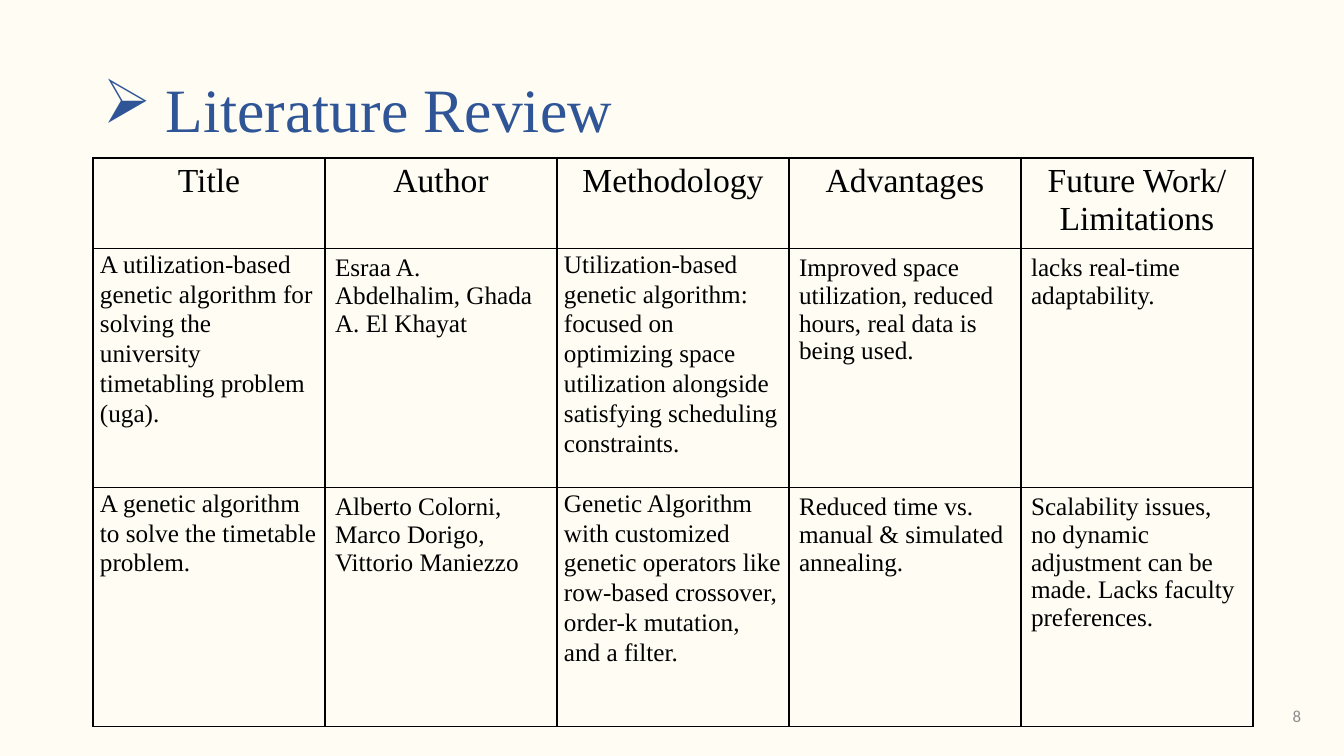
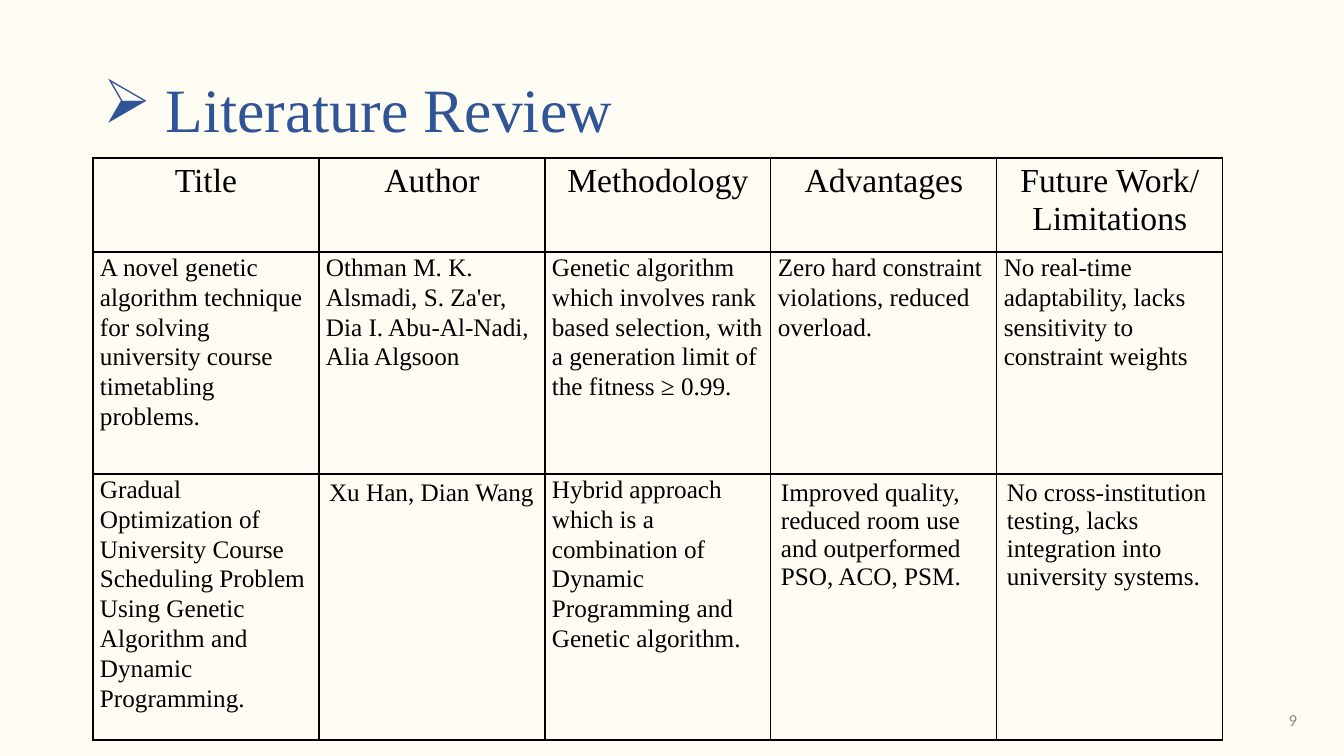
from lxml.etree import SubElement
from pptx import Presentation
from pptx.dml.color import RGBColor
from pptx.enum.text import MSO_ANCHOR as Anchor, PP_ALIGN as Align
from pptx.oxml import parse_xml
from pptx.oxml.ns import nsdecls, qn
from pptx.util import Pt

PX = 914400 / 100.8
COLORS = {"paper": "FEFCF3", "title": "2F5597", "ink": "000000", "number": "8C8C8C"}
SERIF = "Times New Roman"
LEFT, TABLE_TOP = 93, 158
HEADINGS = ["Title", "Author", "Methodology", "Advantages", "Future Work/ Limitations"]

REVIEWS = [
    {
        "number": "8", "number_at": (1009, 696), "column": 232, "heights": [84, 239, 239],
        "snug_columns": [[], [0, 2], [0, 2]],
        "papers": [
            ["A utilization-based genetic algorithm for solving the university timetabling problem (uga).",
             "Esraa A. Abdelhalim, Ghada A. El Khayat",
             "Utilization-based genetic algorithm: focused on optimizing space utilization "
             "alongside satisfying scheduling constraints.",
             "Improved space utilization, reduced hours, real data is being used.",
             "lacks real-time adaptability."],
            ["A genetic algorithm to solve the timetable problem.",
             "Alberto Colorni, Marco Dorigo, Vittorio Maniezzo",
             "Genetic Algorithm with customized genetic operators like row-based crossover, "
             "order-k mutation, and a filter.",
             "Reduced time vs. manual & simulated annealing.",
             "Scalability issues, no dynamic adjustment can be made. Lacks faculty preferences."],
        ],
    },
    {
        "number": "9", "number_at": (1005, 700), "column": 226, "heights": [94, 222, 266],
        "snug_columns": [[], [0, 1, 2, 3, 4], [0, 2]],
        "papers": [
            ["A novel genetic algorithm technique for solving university course timetabling problems.",
             "Othman M. K. Alsmadi, S. Za'er, Dia I. Abu-Al-Nadi, Alia Algsoon",
             "Genetic algorithm which involves rank based selection, with a generation limit "
             "of the fitness ≥ 0.99.",
             "Zero hard constraint violations, reduced overload.",
             "No real-time adaptability, lacks sensitivity to constraint weights"],
            ["Gradual Optimization of University Course Scheduling Problem Using Genetic "
             "Algorithm and Dynamic Programming.",
             "Xu Han, Dian Wang",
             "Hybrid approach which is a combination of Dynamic Programming and Genetic algorithm.",
             "Improved quality, reduced room use and outperformed PSO, ACO, PSM.",
             "No cross-institution testing, lacks integration into university systems."],
        ],
    },
]


def px(length):
    return round(length * PX)


def write(frame, text, size, color, font=SERIF, align=Align.LEFT):
    frame.text = text
    frame.word_wrap = True
    paragraph = frame.paragraphs[0]
    paragraph.alignment = align
    style = paragraph.runs[0].font
    style.size, style.name = Pt(size), font
    style.color.rgb = RGBColor.from_string(COLORS[color])
    return paragraph


deck = Presentation()
deck.slide_width, deck.slide_height = px(1344), px(756)

for review in REVIEWS:
    slide = deck.slides.add_slide(deck.slide_layouts[6])
    slide.background.fill.solid()
    slide.background.fill.fore_color.rgb = RGBColor.from_string(COLORS["paper"])

    title = slide.shapes.add_textbox(px(LEFT), px(40), px(1159), px(146)).text_frame
    title.vertical_anchor = Anchor.MIDDLE
    heading = write(title, "Literature Review", 44, "title")
    heading.line_spacing = 0.9
    bullet = heading._p.get_or_add_pPr()
    bullet.set("marL", str(px(63)))
    bullet.set("indent", str(px(-63)))
    SubElement(bullet, qn("a:buChar"), char="➢")

    x, y = review["number_at"]
    number = slide.shapes.add_textbox(px(x), px(y), px(302), px(40)).text_frame
    number.vertical_anchor = Anchor.MIDDLE
    write(number, review["number"], 12, "number", "Calibri", Align.RIGHT)

    rows = [HEADINGS] + review["papers"]
    heights = review["heights"]
    table = slide.shapes.add_table(
        len(rows), len(HEADINGS), px(LEFT), px(TABLE_TOP),
        px(review["column"] * len(HEADINGS)), px(sum(heights))).table
    table.first_row = table.horz_banding = False
    for column in table.columns:
        column.width = px(review["column"])

    for r, texts in enumerate(rows):
        table.rows[r].height = px(heights[r])
        for c, text in enumerate(texts):
            cell = table.cell(r, c)
            if r == 0:
                write(cell.text_frame, text, 24, "ink", align=Align.CENTER)
            else:
                entry = write(cell.text_frame, text, 18, "ink")
            if c in review["snug_columns"][r]:
                cell.margin_left = cell.margin_right = px(7)
                cell.margin_top = cell.margin_bottom = 0
                entry.line_spacing, entry.space_after = 1.07, Pt(8)
            cell.fill.background()
            for i, side in enumerate(["lnL", "lnR", "lnT", "lnB"]):
                cell._tc.get_or_add_tcPr().insert(i, parse_xml(
                    f'<a:{side} {nsdecls("a")} w="{Pt(1)}"><a:solidFill>'
                    f'<a:srgbClr val="{COLORS["ink"]}"/></a:solidFill></a:{side}>'))

deck.save("out.pptx")
